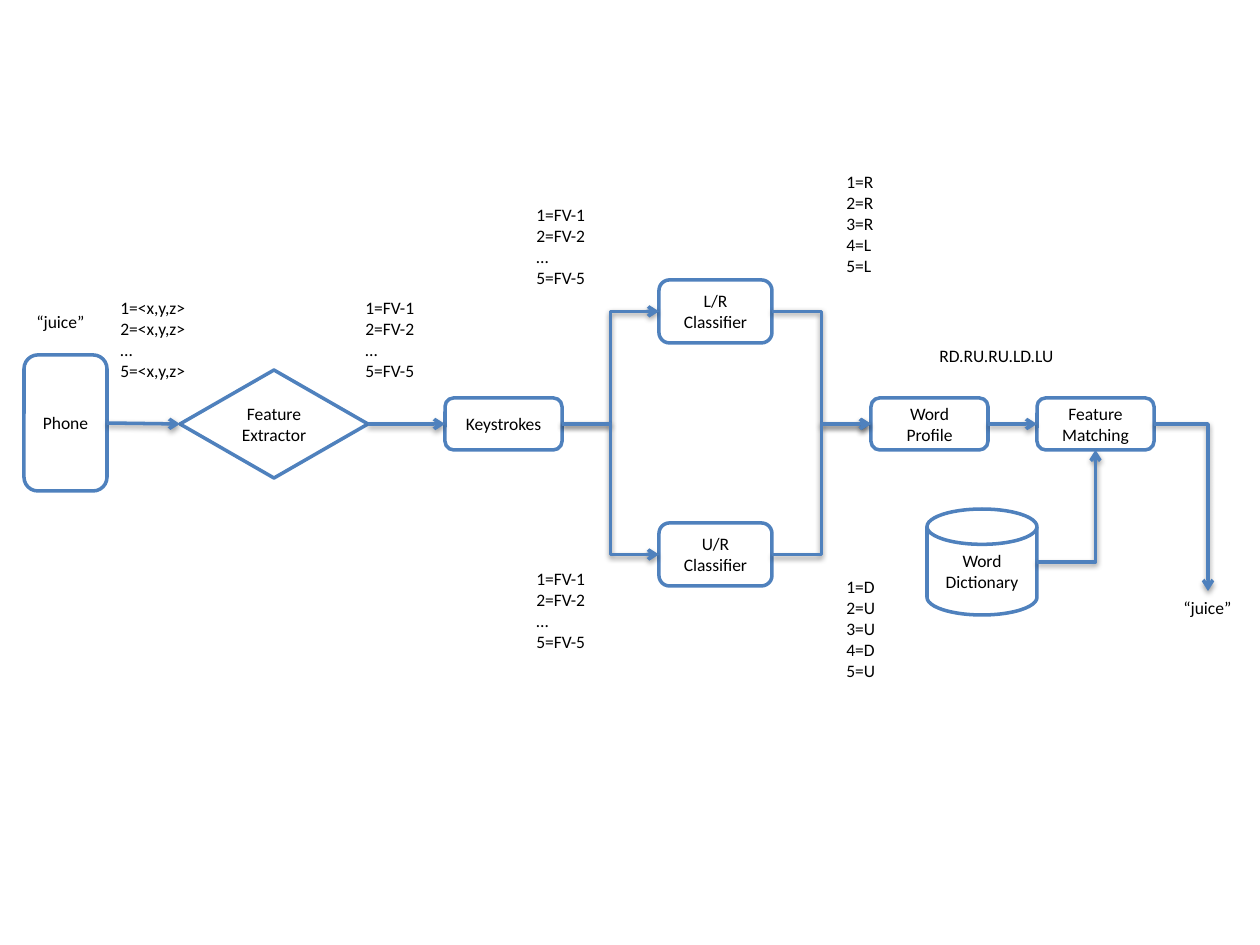
from lxml import etree
from pptx import Presentation
from pptx.dml.color import RGBColor
from pptx.enum.shapes import MSO_CONNECTOR as CONN, MSO_SHAPE as SHAPE
from pptx.enum.text import MSO_ANCHOR as ANCHOR, MSO_AUTO_SIZE as FIT, PP_ALIGN as ALIGN
from pptx.oxml import parse_xml
from pptx.oxml.ns import nsdecls, qn
from pptx.util import Emu, Pt

PX_PER_INCH = 126
BLUE, WHITE, BLACK = "4F81BD", "FFFFFF", "000000"
SIDES = ["top", "left", "bottom", "right"]
VECTORS = ["1=FV-1", "2=FV-2", "…", "5=FV-5"]
SHADOW = (
    f'<a:effectLst {nsdecls("a")}><a:outerShdw blurRad="40000" dist="20000" dir="5400000" '
    f'rotWithShape="0"><a:srgbClr val="{BLACK}"><a:alpha val="38000"/></a:srgbClr>'
    "</a:outerShdw></a:effectLst>"
)


def px(n):
    """Turn slide pixels into EMU."""
    return Emu(round(n * 914400 / PX_PER_INCH))


def rgb(value):
    """Turn a hex string into a colour."""
    return RGBColor.from_string(value)


def write(tf, lines, align):
    """Write each line as a paragraph of one run."""
    for i, line in enumerate(lines):
        p = tf.paragraphs[0] if i == 0 else tf.add_paragraph()
        p.alignment = align
        r = p.add_run()
        r.text = line
        r.font.size, r.font.name = Pt(10), "Calibri"
        r.font.color.rgb = rgb(BLACK)


def node(slide, kind, x, y, w, h, *lines):
    """Add an outlined flowchart shape with centred text."""
    sp = slide.shapes.add_shape(kind, px(x), px(y), px(w), px(h))
    sp.shadow.inherit = False
    sp.fill.solid()
    sp.fill.fore_color.rgb = rgb(WHITE)
    sp.line.color.rgb = rgb(BLUE)
    sp.line.width = Pt(2)
    tf = sp.text_frame
    tf.word_wrap = True
    tf.vertical_anchor = ANCHOR.MIDDLE
    write(tf, lines, ALIGN.CENTER)
    return sp


def label(slide, x, y, w, h, lines):
    """Add a left-aligned text box that grows with its text."""
    sp = slide.shapes.add_textbox(px(x), px(y), px(w), px(h))
    tf = sp.text_frame
    tf.word_wrap = False
    tf.auto_size = FIT.SHAPE_TO_FIT_TEXT
    write(tf, lines, ALIGN.LEFT)
    return sp


def site(sp, side):
    """Return the middle of one side of a shape."""
    dx, dy = {"top": (1, 0), "left": (0, 1), "bottom": (1, 2), "right": (2, 1)}[side]
    return sp.left + sp.width * dx // 2, sp.top + sp.height * dy // 2


def link(slide, start, end, end_side="left", bent=False):
    """Join the right side of one shape to a side of another with an arrow."""
    kind = CONN.ELBOW if bent else CONN.STRAIGHT
    c = slide.shapes.add_connector(kind, *site(start, "right"), *site(end, end_side))
    if start.auto_shape_type != SHAPE.FLOWCHART_MAGNETIC_DISK:
        c.begin_connect(start, SIDES.index("right"))
    c.end_connect(end, SIDES.index(end_side))
    c.line.color.rgb = rgb(BLUE)
    c.line.width = Pt(2)
    etree.SubElement(c.line._get_or_add_ln(), qn("a:tailEnd"), type="arrow")
    props = c._element.spPr
    if end_side != "left":
        props.find(qn("a:prstGeom")).set("prst", "bentConnector2")
    props.append(parse_xml(SHADOW))


def capture(slide, x, y, w, h):
    """Place the phone and the feature extractor; return the extractor."""
    mid = y + h // 2
    phone = node(slide, SHAPE.ROUNDED_RECTANGLE, x, mid - 69, 83, 136, "Phone")
    extractor = node(slide, SHAPE.FLOWCHART_DECISION, x + w - 188, mid - 54, 188, 108,
                     "Feature Extractor")
    link(slide, phone, extractor)
    label(slide, x, y + 14, 74, 34, ["“juice”"])
    label(slide, x + 84, y, 92, 97, ["1=<x,y,z>", "2=<x,y,z>", "…", "5=<x,y,z>"])
    label(slide, x + w - 15, y, 77, 97, VECTORS)
    return extractor


def classify(slide, x, y, w, h):
    """Place the keystrokes and both classifiers; return all three."""
    mid = y + h // 2
    keys = node(slide, SHAPE.ROUNDED_RECTANGLE, x, mid - 26, 117, 52, "Keystrokes")
    branches = [
        ("L/R Classifier", 115, 33, 0, ["1=R", "2=R", "3=R", "4=L", "5=L"]),
        ("U/R Classifier", 358, 397, 405, ["1=D", "2=U", "3=U", "4=D", "5=U"]),
    ]
    classifiers = []
    for name, top, vector_top, result_top, results in branches:
        sp = node(slide, SHAPE.ROUNDED_RECTANGLE, x + 214, y + top, 113, 63, name)
        link(slide, keys, sp, bent=True)
        label(slide, x + 79, y + vector_top, 77, 97, VECTORS)
        label(slide, x + w - 54, y + result_top, 54, 140, results)
        classifiers.append(sp)
    return keys, classifiers


def match(slide, x, y, w, h):
    """Place the profile, dictionary, matching and result; return the profile."""
    mid = y + h // 2
    profile, matching = [
        node(slide, SHAPE.ROUNDED_RECTANGLE, x + dx, mid - 26, 117, 52, name)
        for dx, name in ((0, "Word Profile"), (166, "Feature Matching"))
    ]
    words = node(slide, SHAPE.FLOWCHART_MAGNETIC_DISK, x + 56, y + h - 106, 110, 106,
                 "Word", "Dictionary")
    label(slide, x + 56, mid - 85, 142, 34, ["RD.RU.RU.LD.LU"])
    result = label(slide, x + w - 74, mid + 167, 74, 34, ["“juice”"])
    link(slide, profile, matching)
    link(slide, words, matching, "bottom", bent=True)
    link(slide, matching, result, "top", bent=True)
    return profile


def main():
    """Build the keystroke recognition flowchart."""
    prs = Presentation()
    prs.slide_width, prs.slide_height = px(1260), px(945)
    slide = prs.slides.add_slide(prs.slide_layouts[6])
    extractor = capture(slide, 24, 291, 344, 266)
    keys, classifiers = classify(slide, 445, 165, 443, 518)
    profile = match(slide, 871, 233, 374, 382)
    link(slide, extractor, keys)
    for classifier in classifiers:
        link(slide, classifier, profile, bent=True)
    prs.save("out.pptx")


if __name__ == "__main__":
    main()
